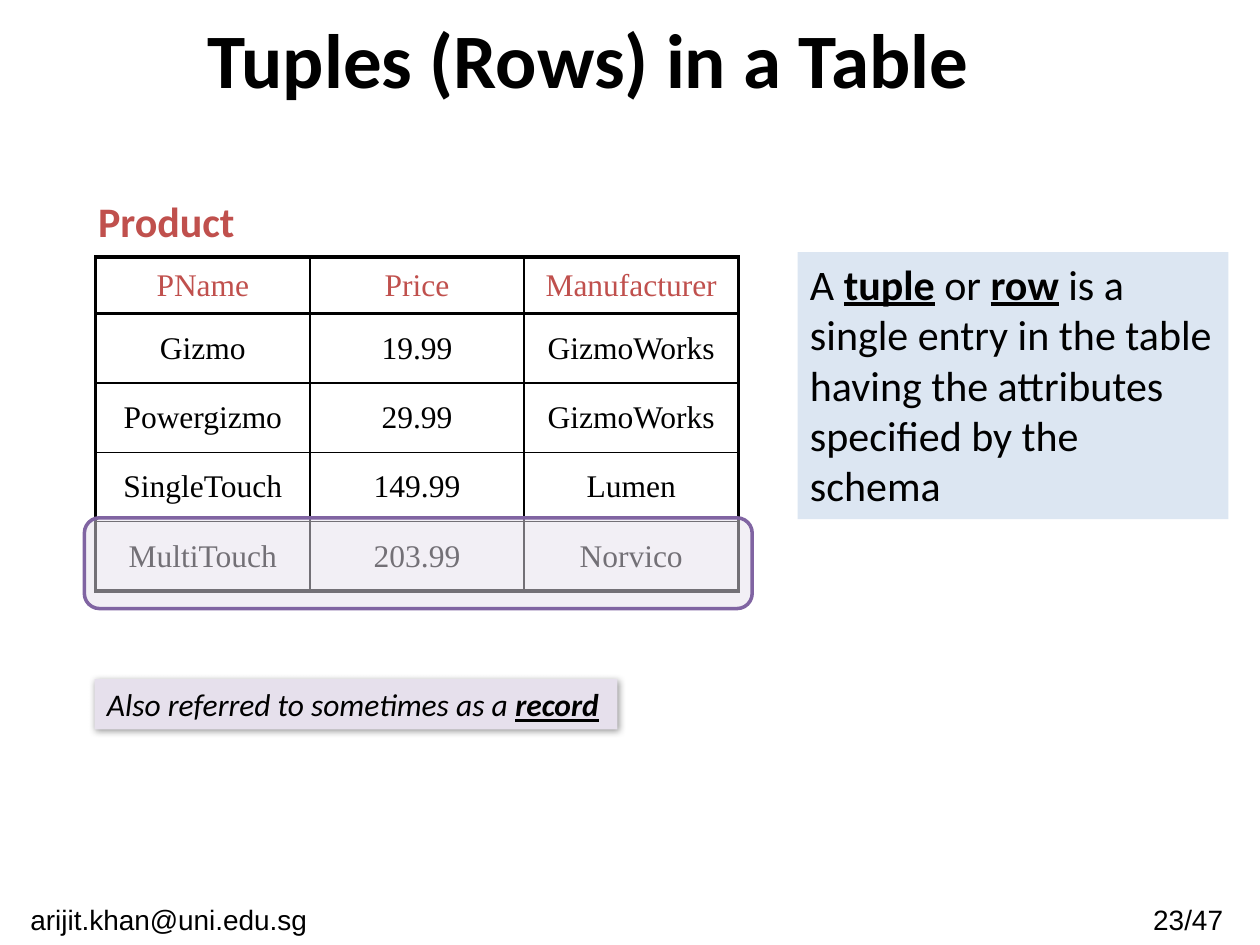
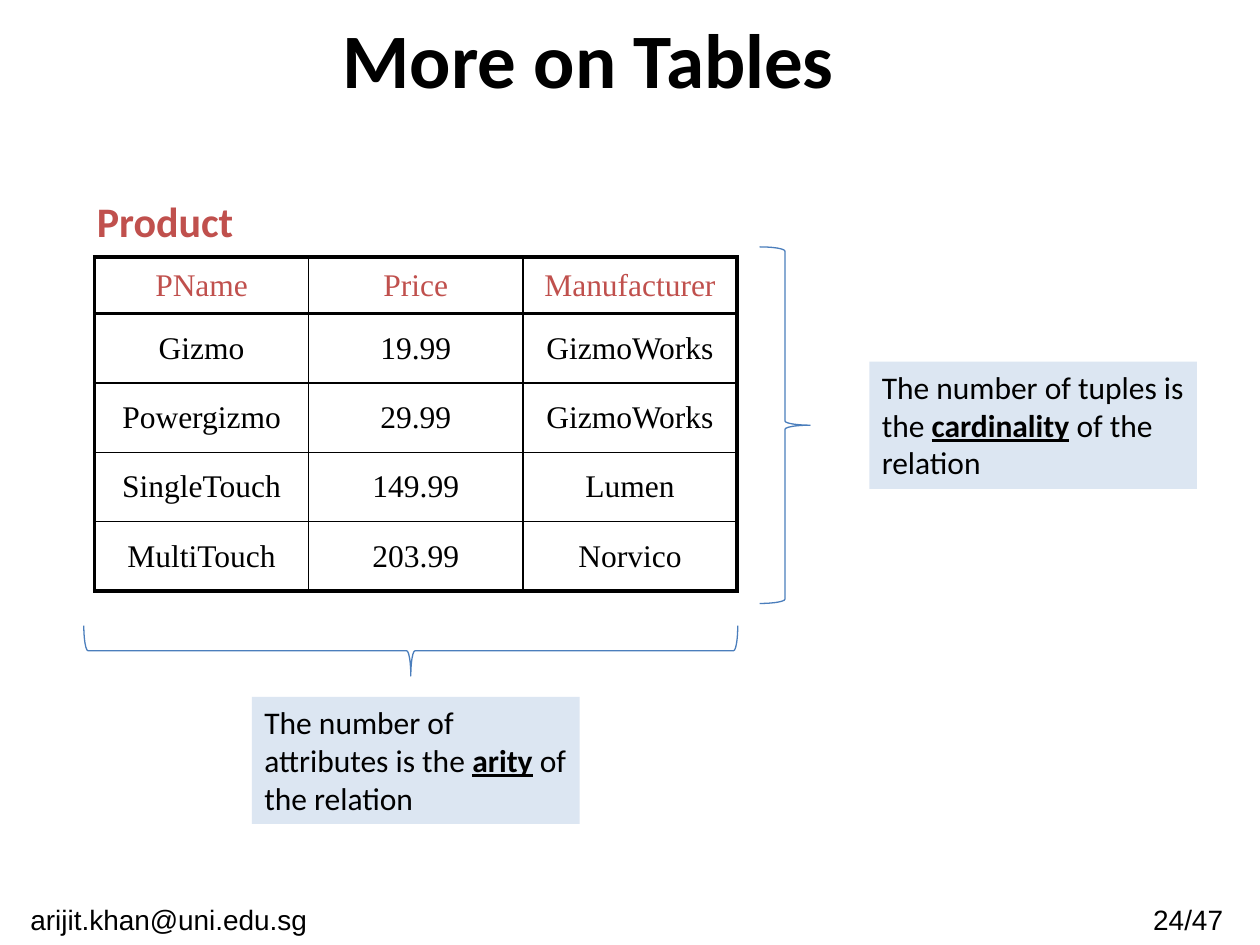
from lxml import etree
from pptx import Presentation
from pptx import util as u
from pptx.dml.color import RGBColor
from pptx.enum import shapes, text
from pptx.oxml import ns

BLACK = RGBColor(0x00, 0x00, 0x00)
RED = RGBColor(0xC0, 0x50, 0x4D)
PALE_BLUE = RGBColor(0xDC, 0xE6, 0xF2)
PALE_PURPLE = RGBColor(0xE6, 0xE0, 0xEC)
PURPLE = RGBColor(0x80, 0x64, 0xA2)
BLUE = RGBColor(0x4B, 0x7E, 0xBC)

TITLE = dict(name="Calibri", size=u.Pt(44), bold=True)
FOOTER = dict(name="Arial", size=u.Pt(16))
CAPTION = dict(name="Calibri", size=u.Pt(24), bold=True)
BODY = dict(name="Calibri", size=u.Pt(24))
NOTE = dict(name="Calibri", size=u.Pt(18))
CELL = dict(name="Times New Roman", size=u.Pt(18))
KEY_TERM = dict(bold=True, underline=True)

THICK, THIN = 2.25, 1
COL_W, HEAD_H, ROW_H = 1.7, 0.45, 0.55
TABLE_TOP = 2.04
EMAIL = "arijit.khan@uni.edu.sg"
PAGES = 47
PRODUCTS = [
    ("PName", "Price", "Manufacturer"),
    ("Gizmo", "19.99", "GizmoWorks"),
    ("Powergizmo", "29.99", "GizmoWorks"),
    ("SingleTouch", "149.99", "Lumen"),
    ("MultiTouch", "203.99", "Norvico"),
]


def inches(box):
    """Turn a box of numbers into lengths."""
    return [u.Inches(v) for v in box]


def sub(parent, tag, **attrs):
    """Append a drawing element with the given attributes."""
    return etree.SubElement(parent, ns.qn(tag), {k: str(v) for k, v in attrs.items()})


def add_run(p, words, style, color=BLACK):
    """Add a run with a font style and colour."""
    r = p.add_run()
    r.text = words
    for key, value in style.items():
        setattr(r.font, key, value)
    r.font.color.rgb = color


def add_text(s, box, parts, style, color=BLACK, fill=None, wrap=True,
             align=text.PP_ALIGN.LEFT, fit=text.MSO_AUTO_SIZE.SHAPE_TO_FIT_TEXT):
    """Add a text box whose odd-numbered parts are key terms."""
    sp = s.shapes.add_textbox(*inches(box))
    tf = sp.text_frame
    tf.word_wrap = wrap
    tf.auto_size = fit
    p = tf.paragraphs[0]
    p.alignment = align
    for i, words in enumerate(parts):
        add_run(p, words, {**style, **KEY_TERM} if i % 2 else style, color)
    if fill is not None:
        sp.fill.solid()
        sp.fill.fore_color.rgb = fill
    return sp


def add_outline(s, kind, box, color, width):
    """Add an unfilled preset shape with a coloured line."""
    sp = s.shapes.add_shape(kind, *inches(box))
    sp.shadow.inherit = False
    sp.fill.background()
    sp.line.color.rgb = color
    sp.line.width = u.Pt(width)
    return sp


def add_shadow(sp):
    """Give a shape a soft shadow to the lower right."""
    effects = sub(sp._element.spPr, "a:effectLst")
    shadow = sub(effects, "a:outerShdw", blurRad=u.Pt(4), dist=u.Pt(1),
                 dir=45 * 60000, algn="tl", rotWithShape=0)
    sub(sub(shadow, "a:srgbClr", val=BLACK), "a:alpha", val=40000)


def set_borders(cell, widths):
    """Draw the left, right, top and bottom borders of a cell."""
    tc_pr = cell._tc.get_or_add_tcPr()
    for i, (side, width) in enumerate(zip("LRTB", widths)):
        ln = sub(tc_pr, f"a:ln{side}", w=u.Pt(width))
        sub(sub(ln, "a:solidFill"), "a:srgbClr", val=BLACK)
        tc_pr.insert(i, ln)


def add_product_table(s, left):
    """Add the Product caption and its ruled table."""
    add_text(s, (left - 0.08, 1.5, 1.3, 0.5), ["Product"], CAPTION, RED, wrap=False)
    n_rows, n_cols = len(PRODUCTS), len(PRODUCTS[0])
    height = HEAD_H + ROW_H * (n_rows - 1)
    table = s.shapes.add_table(
        n_rows, n_cols, *inches((left, TABLE_TOP, COL_W * n_cols, height))).table
    table.first_row = table.horz_banding = False
    for col in table.columns:
        col.width = u.Inches(COL_W)
    for i, record in enumerate(PRODUCTS):
        table.rows[i].height = u.Inches(ROW_H if i else HEAD_H)
        for j, value in enumerate(record):
            cell = table.cell(i, j)
            cell.fill.background()
            cell.vertical_anchor = text.MSO_ANCHOR.MIDDLE
            p = cell.text_frame.paragraphs[0]
            p.alignment = text.PP_ALIGN.CENTER
            add_run(p, value, CELL, BLACK if i else RED)
            heavy = (j == 0, j == n_cols - 1, i < 2, i in (0, n_rows - 1))
            set_borders(cell, [THICK if h else THIN for h in heavy])


def add_base_slide(prs, title, page):
    """Add a title-only slide with its title and footers."""
    s = prs.slides.add_slide(prs.slide_layouts[5])
    sp = s.shapes.title
    sp.left, sp.top, sp.width, sp.height = inches((0.17, 0.08, 9, 0.75))
    tf = sp.text_frame
    tf.auto_size = text.MSO_AUTO_SIZE.NONE
    tf.vertical_anchor = text.MSO_ANCHOR.MIDDLE
    p = tf.paragraphs[0]
    p.alignment = text.PP_ALIGN.CENTER
    add_run(p, title, TITLE)
    for left, width, words in ((8.85, 1.16, f"{page}/{PAGES}"), (0, 2.68, EMAIL)):
        add_text(s, (left, 7.11, width, 0.39), [words], FOOTER,
                 align=text.PP_ALIGN.CENTER, fit=text.MSO_AUTO_SIZE.NONE)
    return s


def add_tuples_slide(prs):
    """Build the slide that defines a tuple."""
    s = add_base_slide(prs, "Tuples (Rows) in a Table", 23)
    add_product_table(s, 0.76)
    marker = add_outline(s, shapes.MSO_SHAPE.ROUNDED_RECTANGLE,
                         (0.67, 4.11, 5.3, 0.72), PURPLE, 2)
    marker.fill.solid()
    marker.fill.fore_color.rgb = PALE_PURPLE
    sub(marker._element.spPr.find(".//" + ns.qn("a:srgbClr")), "a:alpha", val=50000)
    add_text(s, (6.33, 2, 3.42, 2.12),
             ["A ", "tuple", " or ", "row", " is a single entry in the table "
              "having the attributes specified by the schema"], BODY, fill=PALE_BLUE)
    record_note = add_text(s, (0.75, 5.39, 4.15, 0.4),
                           ["Also referred to sometimes as a ", "record"],
                           {**NOTE, "italic": True}, fill=PALE_PURPLE, wrap=False)
    add_shadow(record_note)


def add_sizes_slide(prs):
    """Build the slide that defines cardinality and arity."""
    s = add_base_slide(prs, "More on Tables", 24)
    add_product_table(s, 0.75)
    for brace_box, turn, note_at, measure in (
            ((6.03, 1.96, 0.4, 2.83), 0, (6.9, 2.87), ("tuples", "cardinality")),
            ((3.06, 2.57, 0.4, 5.19), 90, (2, 5.53), ("attributes", "arity"))):
        brace = add_outline(s, shapes.MSO_SHAPE.RIGHT_BRACE, brace_box, BLUE, 0.75)
        brace.rotation = turn
        counted, term = measure
        add_text(s, (*note_at, 2.6, 1.01),
                 [f"The number of {counted} is the ", term, " of the relation"],
                 NOTE, fill=PALE_BLUE)


def main():
    """Build and save the presentation."""
    prs = Presentation()
    prs.slide_width, prs.slide_height = u.Inches(10), u.Inches(7.5)
    add_tuples_slide(prs)
    add_sizes_slide(prs)
    prs.save("out.pptx")


if __name__ == "__main__":
    main()
